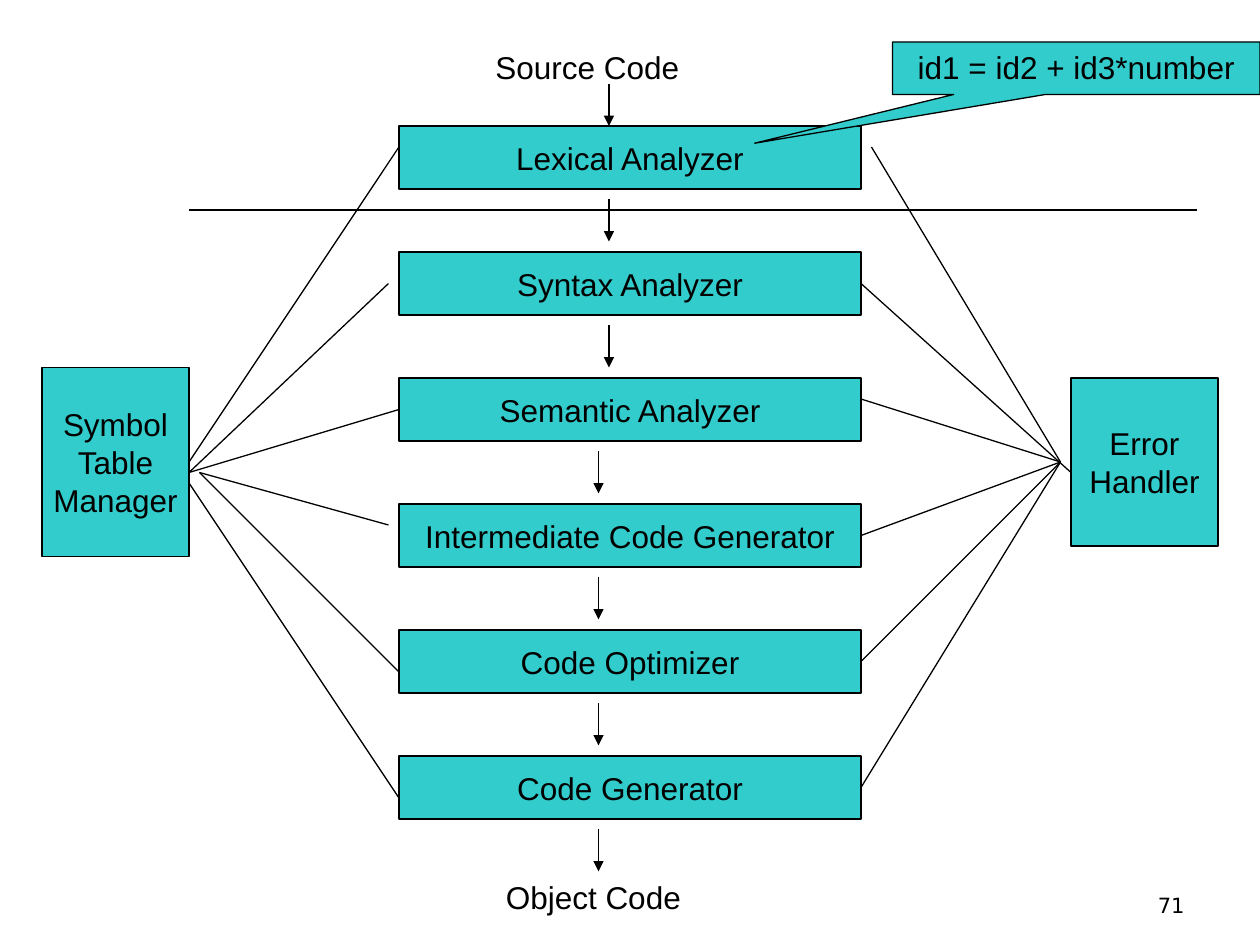
from lxml.etree import SubElement
from pptx import Presentation
from pptx.dml.color import RGBColor
from pptx.enum.shapes import MSO_CONNECTOR, MSO_SHAPE
from pptx.enum.text import MSO_ANCHOR, PP_ALIGN
from pptx.oxml.ns import qn
from pptx.util import Inches, Pt

COLORS = {"box": "33CCCC", "ink": "000000"}

deck = Presentation()
deck.slide_width, deck.slide_height = Inches(10), Inches(7.5)
slide = deck.slides.add_slide(deck.slide_layouts[6])
CELL = deck.slide_width // 120


def write(shape, lines, align, anchor, wrap=True, size=18, font="Arial"):
    frame = shape.text_frame
    frame.word_wrap = wrap
    frame.vertical_anchor = anchor
    for index, line in enumerate(lines):
        paragraph = frame.add_paragraph() if index else frame.paragraphs[0]
        paragraph.alignment = align
        run = paragraph.add_run()
        run.text = line
        run.font.size = Pt(size)
        run.font.name = font
        run.font.color.rgb = RGBColor.from_string(COLORS["ink"])


def draw_line(start, end, width=0.75, arrow=False):
    line = slide.shapes.add_connector(
        MSO_CONNECTOR.STRAIGHT, *[round(CELL * cells) for cells in (*start, *end)])
    line.line.color.rgb = RGBColor.from_string(COLORS["ink"])
    line.line.width = Pt(width)
    if arrow:
        SubElement(line.line._get_or_add_ln(), qn("a:tailEnd"), type="triangle")
    SubElement(line._element.spPr, qn("a:effectLst"))


draw_line((18, 20), (114, 20), width=1)

labels = [
    ("Source Code", (46, 4, 29, 4.8), PP_ALIGN.LEFT, MSO_ANCHOR.TOP, 18, "Arial"),
    ("Object Code", (47, 83, 29, 4.8), PP_ALIGN.LEFT, MSO_ANCHOR.TOP, 18, "Arial"),
    ("71", (86, 82, 28, 6), PP_ALIGN.RIGHT, MSO_ANCHOR.BOTTOM, 12, "DejaVu Sans"),
]
for words, area, align, anchor, size, font in labels:
    label = slide.shapes.add_textbox(*[round(CELL * cells) for cells in area])
    write(label, [words], align, anchor, size=size, font=font)

phases = ["Lexical Analyzer", "Syntax Analyzer", "Semantic Analyzer",
          "Intermediate Code Generator", "Code Optimizer", "Code Generator"]
boxes = [([phase], (38, 12 + 12 * row, 44, 6)) for row, phase in enumerate(phases)]
boxes += [
    (["Symbol", "Table", "Manager"], (4, 35, 14, 18)),
    (["Error", "Handler"], (102, 36, 14, 16)),
]

for row, column in enumerate([58, 58, 58, 57, 57, 57, 57]):
    top = 12 * row + 7 if row else 8
    draw_line((column, top), (column, 12 * row + 12 - (row > 0)), arrow=True)

symbol_links = [((18, 44), (38, 14)), ((18, 45), (37, 27)), ((18, 45), (38, 39)),
                ((19, 45), (37, 50)), ((19, 45), (38, 64)), ((18, 46), (38, 76))]
error_links = [((83, 14), (101, 44)), ((82, 27), (102, 45)), ((82, 38), (101, 44)),
               ((82, 51), (101, 44)), ((82, 63), (101, 44)), ((82, 75), (101, 44))]
for start, end in symbol_links + error_links:
    draw_line(start, end)

callout_area = (85, 4, 35, 5)
for lines, area in boxes + [(["id1 = id2 + id3*number"], callout_area)]:
    is_callout = area == callout_area
    kind = MSO_SHAPE.RECTANGULAR_CALLOUT if is_callout else MSO_SHAPE.RECTANGLE
    box = slide.shapes.add_shape(kind, *[CELL * cells for cells in area])
    box.shadow.inherit = False
    box.fill.solid()
    box.fill.fore_color.rgb = RGBColor.from_string(COLORS["box"])
    box.line.color.rgb = RGBColor.from_string(COLORS["ink"])
    box.line.width = Pt(0.75)
    if is_callout:
        box.adjustments[0], box.adjustments[1] = -0.875, 1.43
    write(box, lines, PP_ALIGN.CENTER,
          MSO_ANCHOR.TOP if is_callout else MSO_ANCHOR.MIDDLE, wrap=is_callout)

deck.save("out.pptx")
